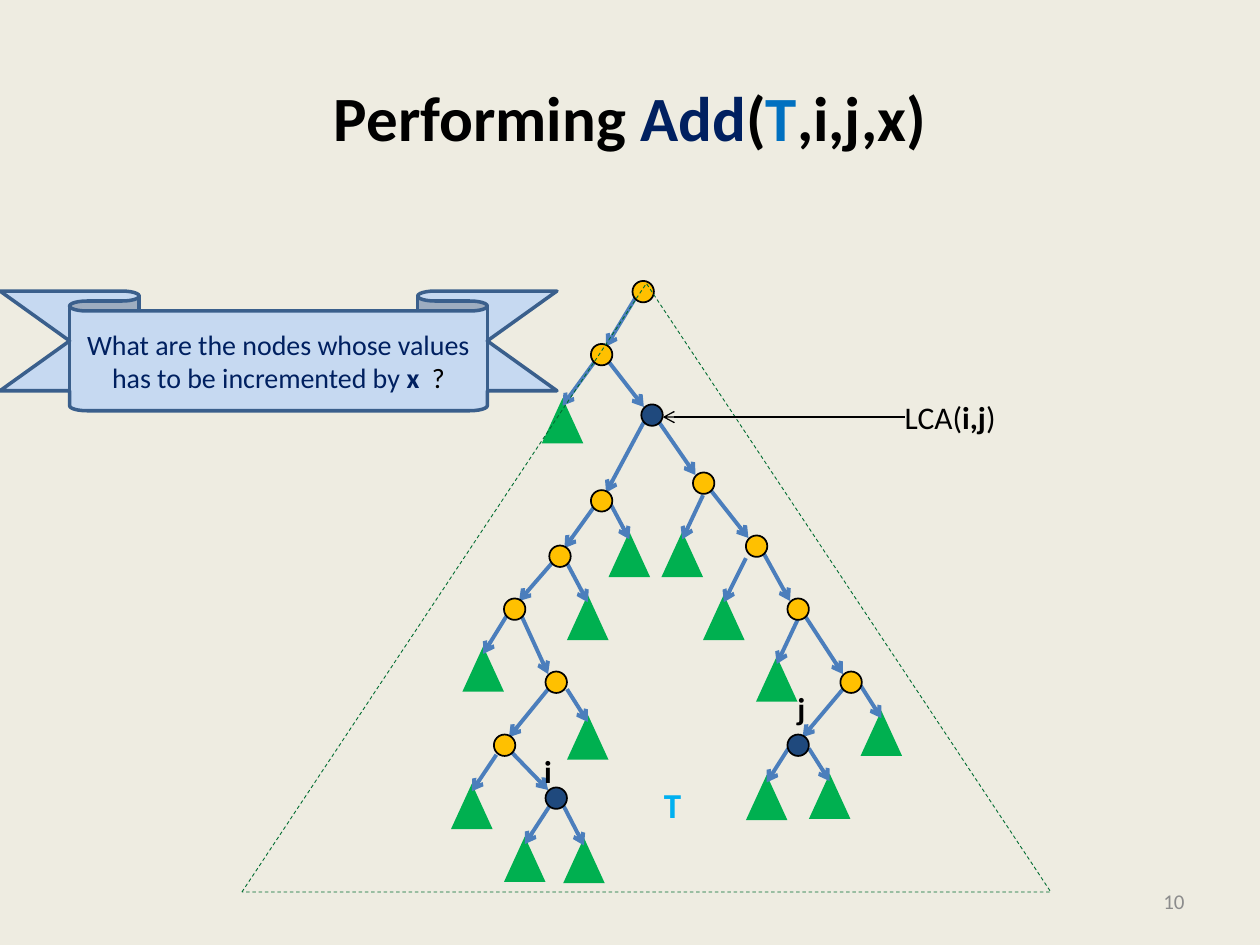
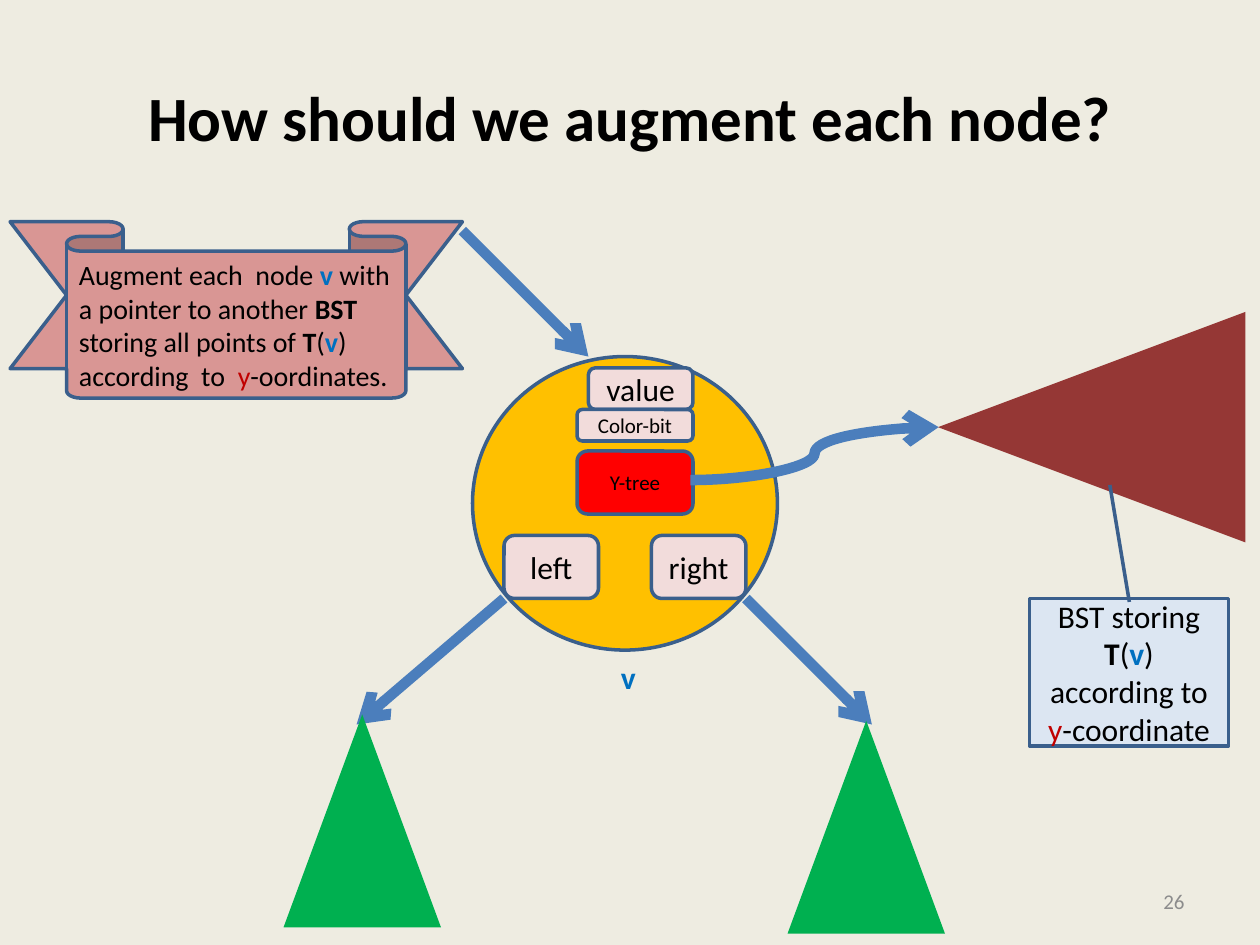
from dataclasses import dataclass

from lxml import etree
from pptx import Presentation
from pptx import util as u
from pptx.dml.color import RGBColor
from pptx.enum import dml, shapes, text
from pptx.oxml import ns

SHAPE = shapes.MSO_SHAPE
LINE = shapes.MSO_CONNECTOR
ALIGN = text.PP_ALIGN


@dataclass(frozen=True)
class Theme:
    font: str = "Calibri"
    background: str = "EEECE1"
    black: str = "000000"
    navy: str = "002060"
    blue: str = "0070C0"
    sky: str = "00B0F0"
    crimson: str = "C00000"
    grey: str = "8C8C8C"
    arrow: str = "4B7EBC"
    outline: str = "3A5F8C"
    node: str = "FFC000"
    marked: str = "1F497D"
    subtree: str = "00B050"
    boundary: str = "006C31"
    y_tree: str = "953735"
    field: str = "F2DCDB"
    pointer: str = "FF0000"
    question: str = "C6D9F1"
    advice: str = "D99694"
    callout: str = "DCE6F2"
    title_size: int = 36
    big: int = 20
    body: int = 18
    banner: int = 16
    small: int = 12


THEME = Theme()

# Content: text runs are (wording, colour, bold); places are in inches
ADD_TITLE = [("Performing ", THEME.black, True), ("Add", THEME.navy, True),
             ("(", THEME.black, True), ("T", THEME.blue, True),
             (",i,j,x)", THEME.black, True)]
QUESTION = [("What are the nodes whose values has to be incremented by ", THEME.navy, False),
            ("x  ", THEME.navy, True), ("?", THEME.black, False)]
LCA_LABEL = [("LCA(", THEME.black, False), ("i,j", THEME.black, True),
             (")", THEME.black, False)]

NODE_SIZE = 0.17
LEAF_SIZE = (0.33, 0.36)
NODES = {  # name: (left, top)
    "root": (5.02, 2.23), "upper": (4.69, 2.73), "lca": (5.09, 3.21),
    "left 1": (4.69, 3.89), "left 2": (4.36, 4.33), "left 3": (4.0, 4.75),
    "left 4": (4.33, 5.33), "left 5": (3.92, 5.83), "i": (4.33, 6.25),
    "right 1": (5.5, 3.75), "right 2": (5.92, 4.25), "right 3": (6.25, 4.75),
    "right 4": (6.67, 5.33), "j": (6.25, 5.83),
}
MARKED = ("lca", "i", "j")
PATHS = [
    ("root", "upper", "lca", "left 1", "left 2", "left 3", "left 4", "left 5", "i"),
    ("lca", "right 1", "right 2", "right 3", "right 4", "j"),
]
LEAVES = [  # (left, top), start of the arrow into the leaf
    ((4.3, 3.16), (4.72, 2.87)), ((5.25, 4.22), (5.58, 3.93)),
    ((5.58, 4.72), (5.92, 4.43)), ((6.0, 5.21), (6.33, 4.92)),
    ((3.67, 5.13), (4.02, 4.89)), ((4.83, 4.22), (4.83, 3.97)),
    ((4.5, 4.72), (4.5, 4.47)), ((4.5, 5.67), (4.5, 5.47)),
    ((4.47, 6.65), (4.47, 6.39)), ((4.0, 6.64), (4.36, 6.4)),
    ((6.83, 5.64), (6.83, 5.44)), ((6.42, 6.14), (6.42, 5.94)),
    ((3.58, 6.22), (3.94, 5.99)), ((5.92, 6.15), (6.27, 5.92)),
]
TREE_LABELS = [  # wording, box, colour, size
    ("T", (5.17, 6.17, 0.34, 0.44), THEME.sky, THEME.big),
    ("i", (4.22, 5.92, 0.26, 0.4), THEME.black, THEME.body),
    ("j", (6.23, 5.42, 0.26, 0.4), THEME.black, THEME.body),
]

AUGMENT_TITLE = [("How should we augment each node?", THEME.black, True)]
ADVICE = [("Augment each  node ", THEME.black, False), ("v ", THEME.blue, True),
          ("with a pointer to another ", THEME.black, False), ("BST ", THEME.black, True),
          ("storing all points of ", THEME.black, False), ("T", THEME.black, True),
          ("(", THEME.black, False), ("v", THEME.blue, True),
          (") according  to  ", THEME.black, False), ("y", THEME.crimson, False),
          ("-oordinates.", THEME.black, False)]
CALLOUT = [("BST storing ", THEME.black, False), ("T", THEME.black, True),
           ("(", THEME.black, False), ("v", THEME.blue, True),
           (") according to ", THEME.black, False), ("y", THEME.crimson, False),
           ("-coordinate", THEME.black, False)]
FIELDS = [  # wording, box, fill, size
    ("left", (4.0, 4.25, 0.75, 0.5), THEME.field, THEME.body),
    ("right", (5.17, 4.25, 0.75, 0.5), THEME.field, THEME.body),
    ("value", (4.67, 2.92, 0.83, 0.33), THEME.field, THEME.body),
    ("Color-bit", (4.58, 3.25, 0.92, 0.25), THEME.field, THEME.small),
    ("Y-tree", (4.58, 3.58, 0.92, 0.5), THEME.pointer, THEME.small),
]
NODE_ARROWS = [((3.67, 1.83), (4.67, 2.83)), ((5.92, 4.75), (6.92, 5.75)),
               ((4.0, 4.75), (2.83, 5.75))]
SUBTREES = [(2.25, 5.67, 1.25, 1.69), (6.25, 5.72, 1.25, 1.69)]


# Shared helpers
def lengths(*inches):
    return [u.Cm(2.54 * value) for value in inches]


def write_runs(text_frame, runs, size, align=ALIGN.CENTER):
    paragraph = text_frame.paragraphs[0]
    paragraph.alignment = align
    for wording, colour, bold in runs:
        run = paragraph.add_run()
        run.text = wording
        run.font.name = THEME.font
        run.font.size = u.Pt(size)
        run.font.bold = bold
        run.font.color.rgb = RGBColor.from_string(colour)


def add_figure(slide, kind, box, fill=None, line=None, width=2, adjust=()):
    shape = slide.shapes.add_shape(kind, *lengths(*box))
    shape.shadow.inherit = False
    for index, value in enumerate(adjust):
        shape.adjustments[index] = value
    if fill:
        shape.fill.solid()
        shape.fill.fore_color.rgb = RGBColor.from_string(fill)
    else:
        shape.fill.background()
    if line:
        shape.line.color.rgb = RGBColor.from_string(line)
        shape.line.width = u.Pt(width)
    else:
        shape.line.fill.background()
    return shape


def add_panel(slide, kind, box, fill, runs, size, align=ALIGN.CENTER, adjust=()):
    shape = add_figure(slide, kind, box, fill, THEME.outline, adjust=adjust)
    shape.text_frame.word_wrap = True
    shape.text_frame.vertical_anchor = text.MSO_ANCHOR.MIDDLE
    write_runs(shape.text_frame, runs, size, align)


def add_ribbon(slide, box, fill, runs, align):
    add_panel(slide, SHAPE.DOWN_RIBBON, box, fill, runs, THEME.banner, align, (0.167, 0.75))


def add_arrow(slide, start, end, colour=THEME.arrow, width=2.25, kind=LINE.STRAIGHT):
    connector = slide.shapes.add_connector(kind, *lengths(*start, *end))
    connector.line.color.rgb = RGBColor.from_string(colour)
    connector.line.width = u.Pt(width)
    properties = connector.element.spPr
    outline = properties.find(ns.qn("a:ln"))
    etree.SubElement(outline, ns.qn("a:tailEnd"), type="arrow")
    etree.SubElement(properties, ns.qn("a:effectLst"))
    return connector


def add_label(slide, box, runs, size):
    label = slide.shapes.add_textbox(*lengths(*box))
    label.text_frame.word_wrap = False
    label.text_frame.auto_size = text.MSO_AUTO_SIZE.SHAPE_TO_FIT_TEXT
    write_runs(label.text_frame, runs, size, ALIGN.LEFT)
    return label


def add_titled_slide(presentation, title_runs, number):
    slide = presentation.slides.add_slide(presentation.slide_layouts[5])
    title = slide.shapes.title
    title.left, title.top, title.width, title.height = lengths(0.5, 0.3, 9, 1.25)
    title.text_frame.vertical_anchor = text.MSO_ANCHOR.MIDDLE
    write_runs(title.text_frame, title_runs, THEME.title_size)
    footer = slide.shapes.add_textbox(*lengths(7.17, 6.95, 2.33, 0.4))
    footer.text_frame.word_wrap = True
    footer.text_frame.vertical_anchor = text.MSO_ANCHOR.MIDDLE
    write_runs(footer.text_frame, [(number, THEME.grey, False)], THEME.small, ALIGN.RIGHT)
    return slide


# Slide with the search tree
def add_branch(slide, parent, child):
    (parent_x, parent_y), (child_x, child_y) = NODES[parent], NODES[child]
    near, far = 0.02, NODE_SIZE - 0.03
    leave, arrive = (far, near) if child_x > parent_x else (near, far - 0.02)
    add_arrow(slide, (parent_x + leave, parent_y + far),
              (child_x + arrive, child_y + near))


def build_tree_slide(presentation):
    slide = add_titled_slide(presentation, ADD_TITLE, "10")
    for path in PATHS:
        for parent, child in zip(path, path[1:]):
            add_branch(slide, parent, child)
    for (left, top), start in LEAVES:
        add_figure(slide, SHAPE.ISOSCELES_TRIANGLE, (left, top, *LEAF_SIZE), THEME.subtree)
        add_arrow(slide, start, (left + LEAF_SIZE[0] / 2, top + 0.06))
    for name, place in NODES.items():
        fill = THEME.marked if name in MARKED else THEME.node
        add_figure(slide, SHAPE.OVAL, (*place, NODE_SIZE, NODE_SIZE), fill, THEME.black, 1)

    boundary = add_figure(slide, SHAPE.ISOSCELES_TRIANGLE, (1.92, 2.25, 6.42, 4.83),
                          line=THEME.boundary, width=0.5)
    boundary.line.dash_style = dml.MSO_LINE.DASH
    for wording, box, colour, size in TREE_LABELS:
        add_label(slide, box, [(wording, colour, True)], size)

    lca_label = add_label(slide, (7.18, 3.11, 0.83, 0.4), LCA_LABEL, THEME.body)
    lca_label.text_frame.margin_left = 0
    pointer = add_arrow(slide, (7.18, 3.31), (5.26, 3.31), THEME.black, 0.75)
    pointer.begin_connect(lca_label, 1)
    add_ribbon(slide, (0, 2.31, 4.42, 0.95), THEME.question, QUESTION, ALIGN.CENTER)


# Slide with the augmented node
def build_node_slide(presentation):
    slide = add_titled_slide(presentation, AUGMENT_TITLE, "26")
    add_figure(slide, SHAPE.OVAL, (3.75, 2.83, 2.42, 2.33), THEME.node, THEME.outline)
    for wording, box, fill, size in FIELDS:
        add_panel(slide, SHAPE.ROUNDED_RECTANGLE, box, fill,
                  [(wording, THEME.black, False)], size)
    for start, end in NODE_ARROWS:
        add_arrow(slide, start, end, width=6)
    for box in SUBTREES:
        add_figure(slide, SHAPE.ISOSCELES_TRIANGLE, box, THEME.subtree)
    add_ribbon(slide, (0.08, 1.76, 3.59, 1.4), THEME.advice, ADVICE, ALIGN.LEFT)

    y_tree = add_figure(slide, SHAPE.ISOSCELES_TRIANGLE, (7.75, 2.17, 1.83, 2.44), THEME.y_tree)
    y_tree.rotation = 270
    add_arrow(slide, (5.48, 3.81), (7.45, 3.39), width=6, kind=LINE.CURVE)
    add_label(slide, (4.83, 5.17, 0.32, 0.4), [("v", THEME.blue, True)], THEME.body)
    add_panel(slide, SHAPE.LINE_CALLOUT_1, (8.17, 4.75, 1.58, 1.17), THEME.callout,
              CALLOUT, THEME.body, adjust=(0.024, 0.502, -0.77, 0.404))


def main():
    presentation = Presentation()
    presentation.slide_width, presentation.slide_height = u.Cm(25.4), u.Cm(19.05)
    background = presentation.slide_master.background.fill
    background.solid()
    background.fore_color.rgb = RGBColor.from_string(THEME.background)
    build_tree_slide(presentation)
    build_node_slide(presentation)
    presentation.save("out.pptx")


if __name__ == "__main__":
    main()
